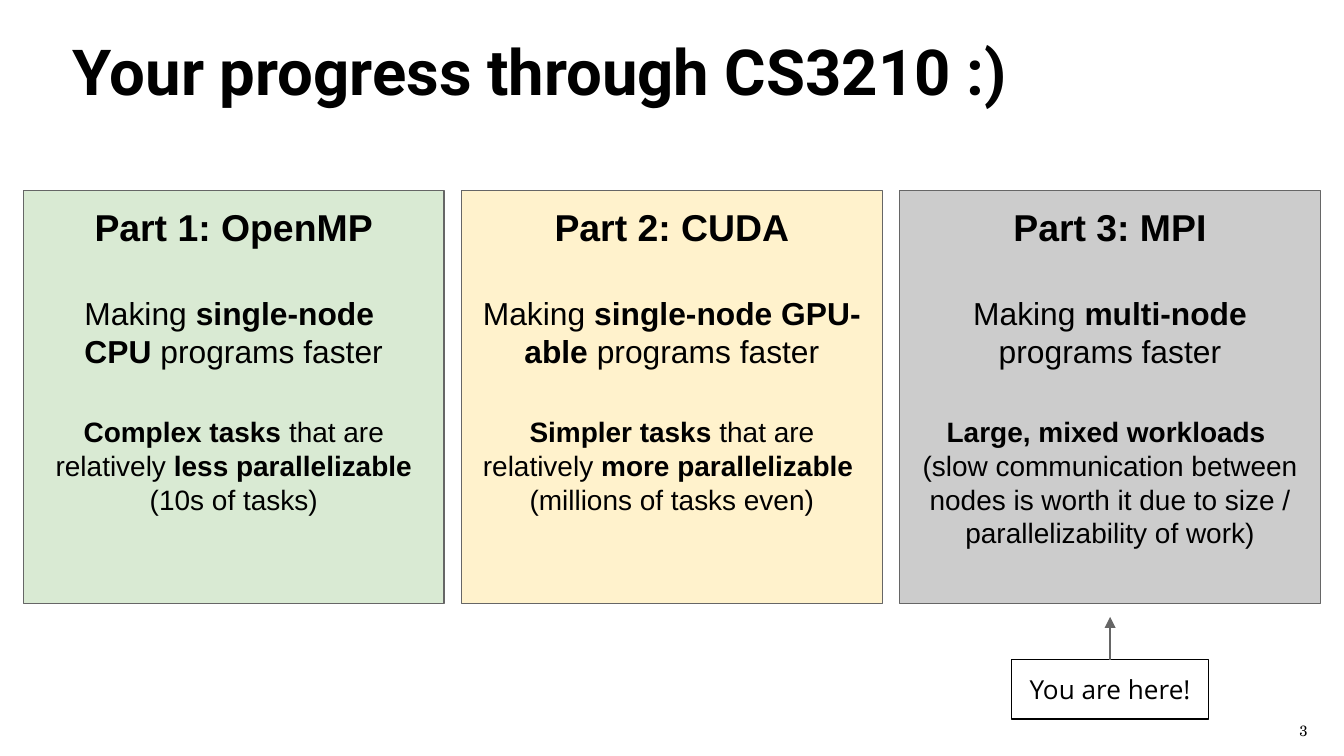
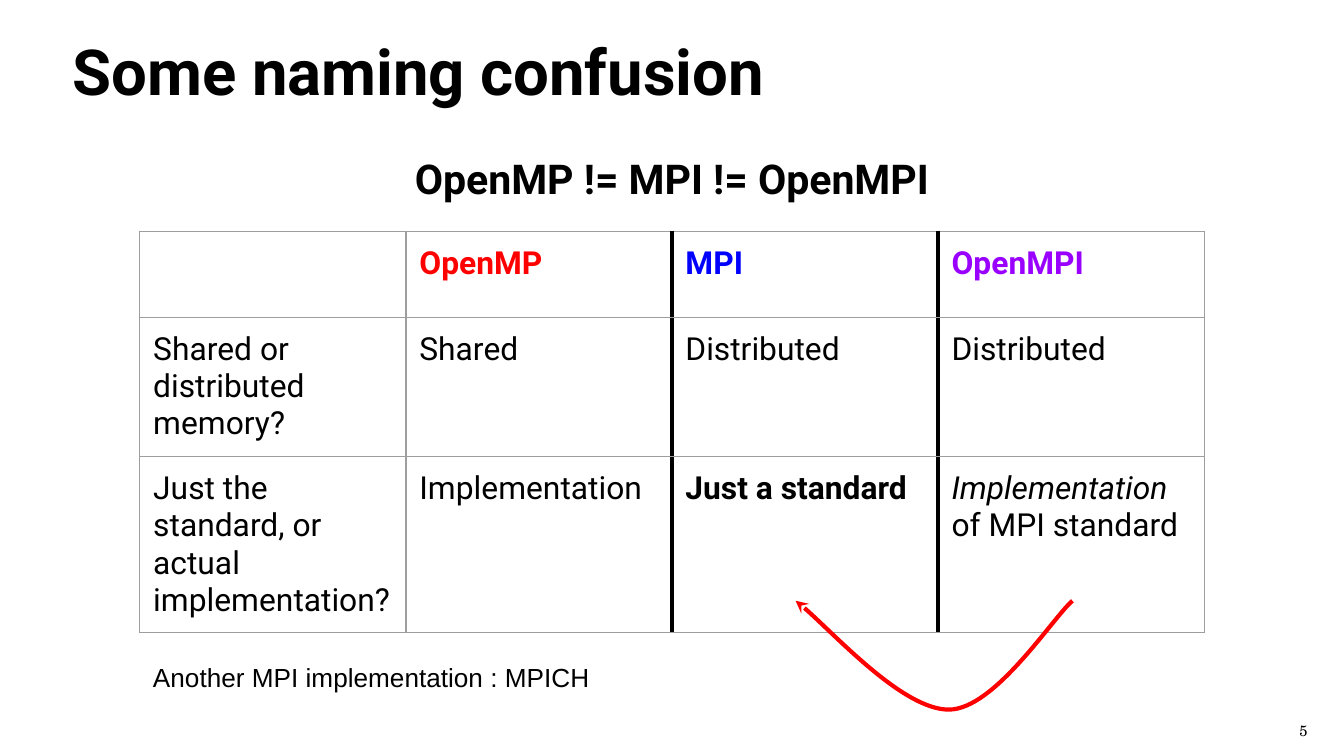
from dataclasses import dataclass

from lxml.etree import SubElement
from pptx import Presentation
from pptx.dml.color import RGBColor
from pptx.enum.shapes import MSO_CONNECTOR, MSO_SHAPE
from pptx.enum.text import MSO_ANCHOR, MSO_AUTO_SIZE, PP_ALIGN
from pptx.oxml.ns import qn
from pptx.util import Inches, Pt

BLACK = RGBColor(0x00, 0x00, 0x00)
DARK_GRAY = RGBColor(0x66, 0x66, 0x66)
GRID_GRAY = RGBColor(0x9E, 0x9E, 0x9E)
GREEN = RGBColor(0xD9, 0xEA, 0xD3)
YELLOW = RGBColor(0xFF, 0xF2, 0xCC)
GRAY = RGBColor(0xCC, 0xCC, 0xCC)
RED = RGBColor(0xFF, 0x00, 0x00)
BLUE = RGBColor(0x00, 0x00, 0xFF)
PURPLE = RGBColor(0x99, 0x00, 0xFF)

TITLE_FONT = "Roboto"
BODY_FONT = "Arial"
LABEL_FONT = "Open Sans"
NUMBER_FONT = "TeX Gyre Schola"

SLIDE_W = 10
SLIDE_H = SLIDE_W * 9 / 16
INSET = 0.1
THIN, THICK = 0.75, 2.25


@dataclass(frozen=True)
class Run:
    text: str
    bold: bool = False
    italic: bool = False
    color: RGBColor = BLACK


@dataclass(frozen=True)
class Part:
    heading: str
    fill: RGBColor
    goal: tuple[Run, ...]
    workload: tuple[Run, ...]


PARTS = (
    Part(
        "Part 1: OpenMP",
        GREEN,
        (Run("Making "), Run("single-node \nCPU", True), Run(" programs faster")),
        (
            Run("Complex tasks ", True),
            Run("that are relatively "),
            Run("less parallelizable ", True),
            Run("(10s of tasks)"),
        ),
    ),
    Part(
        "Part 2: CUDA",
        YELLOW,
        (Run("Making "), Run("single-node GPU-able", True), Run(" programs faster")),
        (
            Run("Simpler tasks ", True),
            Run("that are relatively "),
            Run("more parallelizable \n", True),
            Run("(millions of tasks even)"),
        ),
    ),
    Part(
        "Part 3: MPI",
        GRAY,
        (Run("Making "), Run("multi-node", True), Run(" programs faster")),
        (
            Run("Large, mixed workloads \n", True),
            Run(
                "(slow communication between nodes is worth it "
                "due to size / parallelizability of work)"
            ),
        ),
    ),
)

NAMING_ROWS = (
    (
        (),
        (Run("OpenMP", True, color=RED),),
        (Run("MPI", True, color=BLUE),),
        (Run("OpenMPI", True, color=PURPLE),),
    ),
    (
        (Run("Shared or distributed memory?"),),
        (Run("Shared"),),
        (Run("Distributed"),),
        (Run("Distributed"),),
    ),
    (
        (Run("Just the standard, or actual implementation?"),),
        (Run("Implementation"),),
        (Run("Just a standard", True),),
        (Run("Implementation", italic=True), Run(" of MPI standard")),
    ),
)
ROW_HEIGHTS = (0.64, 1.03, 1.31)
COL_W = 1.98
THICK_EDGES = (2, 3)


def box(left: float, top: float, width: float, height: float) -> tuple:
    return Inches(left), Inches(top), Inches(width), Inches(height)


def add_runs(p, runs: tuple[Run, ...], font: str, size: float) -> None:
    for run in runs:
        for i, line in enumerate(run.text.split("\n")):
            if i:
                p.add_line_break()
            if not line:
                continue
            r = p.add_run()
            r.text = line
            r.font.name = font
            r.font.size = Pt(size)
            r.font.bold = run.bold
            r.font.italic = run.italic
            r.font.color.rgb = run.color


def set_frame(tf, anchor=MSO_ANCHOR.TOP) -> None:
    tf.word_wrap = True
    tf.auto_size = MSO_AUTO_SIZE.NONE
    tf.vertical_anchor = anchor
    tf.margin_left = tf.margin_right = Inches(INSET)
    tf.margin_top = tf.margin_bottom = Inches(INSET)


def add_text(slide, at: tuple, run: Run, font: str, size: float,
             align=PP_ALIGN.CENTER, anchor=MSO_ANCHOR.TOP):
    sp = slide.shapes.add_textbox(*at)
    set_frame(sp.text_frame, anchor)
    p = sp.text_frame.paragraphs[0]
    p.alignment = align
    add_runs(p, (run,), font, size)
    return sp


def add_rect(slide, at: tuple, line: RGBColor, fill: RGBColor | None = None):
    sp = slide.shapes.add_shape(MSO_SHAPE.RECTANGLE, *at)
    sp.shadow.inherit = False
    if fill is None:
        sp.fill.background()
    else:
        sp.fill.solid()
        sp.fill.fore_color.rgb = fill
    sp.line.color.rgb = line
    sp.line.width = Pt(THIN)
    set_frame(sp.text_frame)
    return sp


def style_arrow(sp, color: RGBColor, width: float, head: str) -> None:
    sp.line.color.rgb = color
    sp.line.width = Pt(width)
    spPr = sp._element.spPr
    SubElement(spPr.find(qn("a:ln")), qn("a:tailEnd"), type=head)
    if spPr.find(qn("a:effectLst")) is None:
        SubElement(spPr, qn("a:effectLst"))


def add_slide(prs, title: str, number: int):
    slide = prs.slides.add_slide(prs.slide_layouts[5])
    sp = slide.shapes.title
    sp.left, sp.top, sp.width, sp.height = box(0.44, 0.14, 8.22, 0.7)
    set_frame(sp.text_frame)
    p = sp.text_frame.paragraphs[0]
    p.alignment = PP_ALIGN.LEFT
    add_runs(p, (Run(title, True),), TITLE_FONT, 34)
    add_text(slide, box(9.4, 5.28, 0.6, 0.31), Run(str(number)), NUMBER_FONT, 8,
             anchor=MSO_ANCHOR.MIDDLE)
    return slide


def add_part(slide, part: Part, at: tuple) -> None:
    tf = add_rect(slide, at, DARK_GRAY, part.fill).text_frame
    levels = (((Run(part.heading, True),), 20), (part.goal, 17), (part.workload, 15))
    for i, (runs, size) in enumerate(levels):
        p = tf.add_paragraph() if i else tf.paragraphs[0]
        p.alignment = PP_ALIGN.CENTER
        p.space_before = Pt(24 if i else 0)
        add_runs(p, runs, BODY_FONT, size)


def build_progress(prs) -> None:
    slide = add_slide(prs, "Your progress through CS3210 :)", 3)
    width, gap, top, height = 3.13, 0.13, 1.42, 3.07
    count = len(PARTS)
    margin = (SLIDE_W - count * width - (count - 1) * gap) / 2
    for i, part in enumerate(PARTS):
        left = margin + i * (width + gap)
        add_part(slide, part, box(left, top, width, height))

    center, label_w, label_top = left + width / 2, 1.47, 4.91
    label = add_rect(slide, box(center - label_w / 2, label_top, label_w, 0.44), BLACK)
    p = label.text_frame.paragraphs[0]
    p.alignment = PP_ALIGN.CENTER
    add_runs(p, (Run("You are here!"),), LABEL_FONT, 14)
    arrow = slide.shapes.add_connector(
        MSO_CONNECTOR.STRAIGHT,
        Inches(center), Inches(label_top), Inches(center), Inches(4.59),
    )
    style_arrow(arrow, DARK_GRAY, THIN, "triangle")


def set_borders(cell, col: int) -> None:
    tcPr = cell._tc.get_or_add_tcPr()
    edges = (("L", col in THICK_EDGES), ("R", col + 1 in THICK_EDGES),
             ("T", False), ("B", False))
    for i, (side, thick) in enumerate(edges):
        ln = SubElement(tcPr, qn(f"a:ln{side}"), w=str(Pt(THICK if thick else THIN)))
        fill = SubElement(ln, qn("a:solidFill"))
        SubElement(fill, qn("a:srgbClr"), val=str(BLACK if thick else GRID_GRAY))
        tcPr.insert(i, ln)


def add_naming_table(slide) -> None:
    cols = len(NAMING_ROWS[0])
    at = box(1.04, 1.72, cols * COL_W, sum(ROW_HEIGHTS))
    table = slide.shapes.add_table(len(NAMING_ROWS), cols, *at).table
    table.first_row = table.horz_banding = False
    for column in table.columns:
        column.width = Inches(COL_W)
    for i, row in enumerate(NAMING_ROWS):
        table.rows[i].height = Inches(ROW_HEIGHTS[i])
        for j, runs in enumerate(row):
            cell = table.cell(i, j)
            cell.fill.background()
            cell.margin_left = cell.margin_right = Inches(INSET)
            cell.margin_top = cell.margin_bottom = Inches(INSET)
            add_runs(cell.text_frame.paragraphs[0], runs, TITLE_FONT, 17)
            set_borders(cell, j)


def add_curve(slide, start: tuple, curves: tuple):
    def emu(point: tuple) -> tuple:
        return Inches(point[0]), Inches(point[1])

    fb = slide.shapes.build_freeform(*emu(start))
    fb.add_line_segments([emu(curve[-1]) for curve in curves], close=False)
    sp = fb.convert_to_shape()
    sp.shadow.inherit = False
    sp.fill.background()
    for seg, curve in zip(list(sp._element.iter(qn("a:lnTo"))), curves):
        seg.tag = qn("a:cubicBezTo")
        seg.remove(seg[0])
        for x, y in map(emu, curve):
            SubElement(seg, qn("a:pt"), x=str(x - sp.left), y=str(y - sp.top))
    return sp


def build_naming(prs) -> None:
    slide = add_slide(prs, "Some naming confusion", 5)
    sp = add_text(slide, box(0.77, 0.99, 8.46, 0.7),
                  Run("OpenMP != MPI != OpenMPI", True), TITLE_FONT, 22)
    sp.text_frame.paragraphs[0].line_spacing = 1.15
    add_naming_table(slide)
    curve = add_curve(
        slide,
        (7.98, 4.47),
        (
            ((7.83, 4.6), (7.4, 5.28), (7.06, 5.28)),
            ((6.72, 5.28), (6.11, 4.61), (5.92, 4.47)),
        ),
    )
    style_arrow(curve, RED, THICK, "stealth")
    note = add_text(slide, box(1.04, 4.87, 3.47, 0.34),
                    Run("Another MPI implementation : MPICH"), BODY_FONT, 14, PP_ALIGN.LEFT)
    tf = note.text_frame
    tf.word_wrap = False
    tf.margin_top = tf.margin_bottom = Inches(0.05)


def main() -> None:
    prs = Presentation()
    prs.slide_width, prs.slide_height = Inches(SLIDE_W), Inches(SLIDE_H)
    build_progress(prs)
    build_naming(prs)
    prs.save("out.pptx")


if __name__ == "__main__":
    main()
